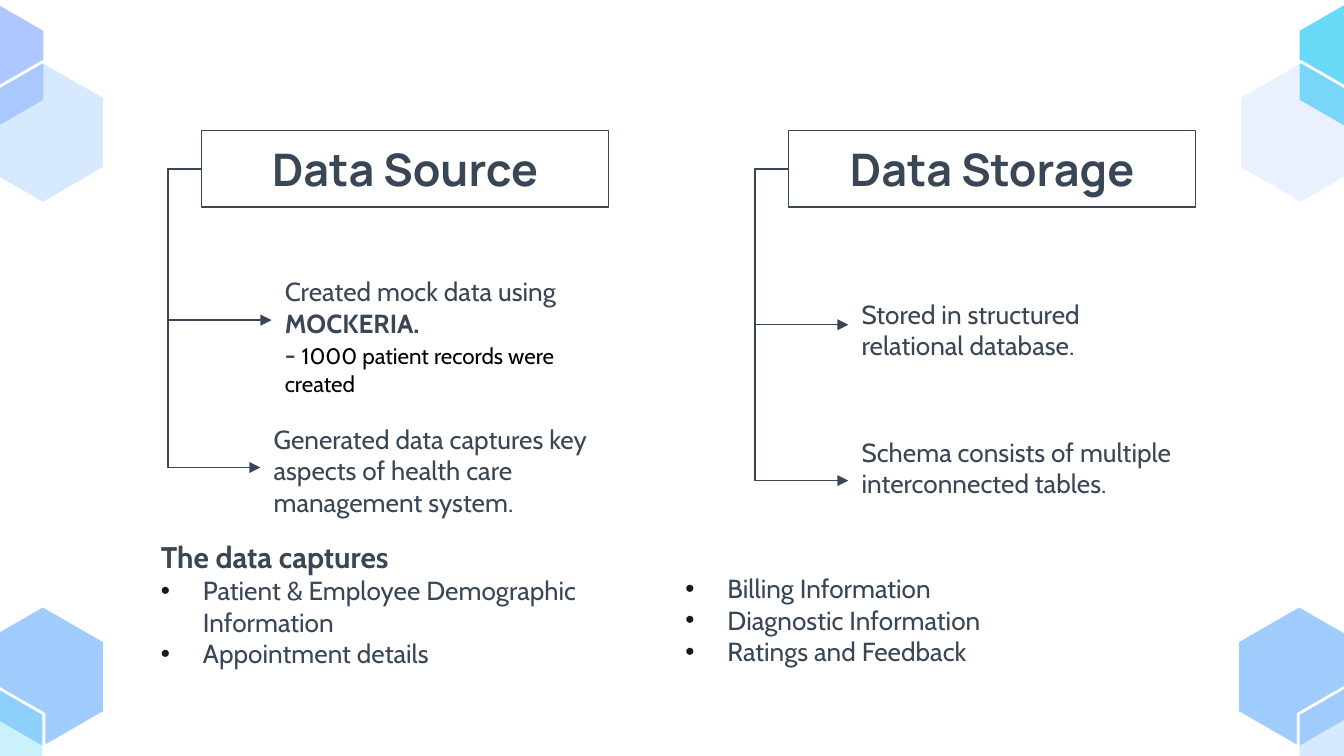
"""Build a slide on where the data comes from, how it is stored and what it captures."""
from lxml import etree
from pptx import Presentation
from pptx.dml.color import RGBColor
from pptx.enum.shapes import MSO_CONNECTOR
from pptx.enum.text import MSO_ANCHOR, MSO_AUTO_SIZE, PP_ALIGN
from pptx.oxml.ns import qn
from pptx.util import Pt

INK = "384655"
HEADING = {"name": "Manrope", "size": Pt(24), "bold": True}
BODY = {"name": "Cabin", "size": Pt(14), "bold": False}
STRONG = {**BODY, "bold": True}
SUBTITLE = {**STRONG, "size": Pt(16)}
SMALL = {**BODY, "size": Pt(12)}


def paint(color_format, value):
    """Set a colour from a hex string."""
    color_format.rgb = RGBColor.from_string(value)


def write(shape, paragraphs, anchor=MSO_ANCHOR.TOP, alignment=PP_ALIGN.LEFT):
    """Fill a shape with (bulleted, runs) paragraphs, each run being (text, style, colour)."""
    frame = shape.text_frame
    settings = {"word_wrap": True, "auto_size": MSO_AUTO_SIZE.NONE, "vertical_anchor": anchor}
    settings |= {f"margin_{side}": Pt(7.2) for side in ("left", "top", "right", "bottom")}
    for name, value in settings.items():
        setattr(frame, name, value)
    for index, (bulleted, runs) in enumerate(paragraphs):
        paragraph = frame.add_paragraph() if index else frame.paragraphs[0]
        properties = paragraph._p.get_or_add_pPr()
        indent = Pt(22.5) if bulleted else 0
        properties.set("marL", str(indent))
        properties.set("indent", str(-indent))
        if bulleted:
            bullet_color = etree.SubElement(properties, qn("a:buClr"))
            etree.SubElement(bullet_color, qn("a:srgbClr"), val="191919")
            etree.SubElement(properties, qn("a:buFont"), typeface="Arial")
            etree.SubElement(properties, qn("a:buChar"), char="•")
        else:
            etree.SubElement(properties, qn("a:buNone"))
        paragraph.alignment = alignment
        paragraph.space_before = Pt(0)
        for text, style, color in runs:
            run = paragraph.add_run()
            run.text = text
            for name, value in style.items():
                setattr(run.font, name, value)
            paint(run.font.color, color)


presentation = Presentation()
presentation.slide_width, presentation.slide_height = Pt(720), Pt(405)
slide = presentation.slides.add_slide(presentation.slide_layouts.get_by_name("Comparison"))
placeholders = {shape.placeholder_format.idx: shape for shape in slide.placeholders}
title = placeholders[0].element
title.getparent().remove(title)

hexagons = [
    (-10, 324.5, "9FCBFD", 100), (-42.5, 363.5, "68DAF8", 34),
    (695.5, -3, "68DAF8", 100), (664, 33, "AFC7FF", 25),
    (663, 324.5, "9FCBFD", 100), (695.5, 363.5, "9FCBFD", 41),
    (-42, -3, "AFC7FF", 100), (-10, 33, "9FCBFD", 41),
]
corners = [(33, 0), (0, 19), (0, 57), (33, 76), (66, 57), (66, 19)]
for left, top, color, opacity in hexagons:
    points = [(Pt(left + x), Pt(top + y)) for x, y in corners]
    builder = slide.shapes.build_freeform(*points[0])
    builder.add_line_segments(points[1:], close=True)
    hexagon = builder.convert_to_shape()
    hexagon.shadow.inherit = False
    hexagon.fill.solid()
    paint(hexagon.fill.fore_color, color)
    if opacity < 100:
        fill_color = hexagon.element.spPr.find(qn("a:solidFill"))[0]
        etree.SubElement(fill_color, qn("a:alpha"), val=str(opacity * 1000))
    paint(hexagon.line.color, "FFFFFF")
    hexagon.line.width = Pt(1.5)

mock_data = [
    (False, [("Created mock data using ", BODY, INK), ("MOCKERIA.", STRONG, INK)]),
    (False, [("- ", STRONG, INK), ("1000 patient records were created", SMALL, "000000")]),
]
generated, stored, schema = [
    [(False, [(text, BODY, INK)])]
    for text in (
        "Generated data captures key aspects of health care management system.",
        "Stored in structured relational database.",
        "Schema consists of multiple interconnected tables.",
    )
]
branches = [
    (1, "Data Source", 108, [(145.5, 140.5, 171.5, mock_data), (139.5, 219.5, 250.5, generated)]),
    (3, "Data Storage", 422.5, [(454.5, 152.5, 174, stored), (454.5, 226.5, 257.5, schema)]),
]
for index, heading, left, notes in branches:
    box = placeholders[index]
    box.left, box.top, box.width, box.height = Pt(left), Pt(70), Pt(218), Pt(41)
    paint(box.line.color, INK)
    box.line.width = Pt(0.75)
    write(box, [(False, [(heading, HEADING, INK)])], MSO_ANCHOR.MIDDLE, PP_ALIGN.CENTER)
    for note_left, note_top, arrow_y, paragraphs in notes:
        note = slide.shapes.add_textbox(Pt(note_left), Pt(note_top), Pt(186), Pt(62))
        write(note, paragraphs)
        arrow = slide.shapes.add_connector(
            MSO_CONNECTOR.ELBOW, Pt(left), Pt(90.5), Pt(note_left), Pt(arrow_y)
        )
        paint(arrow.line.color, INK)
        arrow.line.width = Pt(0.75)
        etree.SubElement(arrow.line._get_or_add_ln(), qn("a:tailEnd"), type="triangle")
        etree.SubElement(arrow.element.spPr, qn("a:effectLst"))
        bend = round(-18 / (note_left - left) * 100000)
        adjustments = arrow.element.spPr.find(qn("a:prstGeom")).get_or_add_avLst()
        etree.SubElement(adjustments, qn("a:gd"), name="adj1", fmla=f"val {bend}")

captures = [
    (2, 79, 281.5, ["Patient & Employee Demographic Information", "Appointment details"]),
    (4, 360, 299.5, ["Billing Information", "Diagnostic Information", "Ratings and Feedback"]),
]
for index, left, top, items in captures:
    box = placeholders[index]
    box.left, box.top, box.width, box.height = Pt(left), Pt(top), Pt(278), Pt(88)
    paragraphs = [(True, [(item, BODY, INK)]) for item in items]
    if index == 2:
        paragraphs.insert(0, (False, [("The data captures", SUBTITLE, INK)]))
    write(box, paragraphs)

presentation.save("out.pptx")
